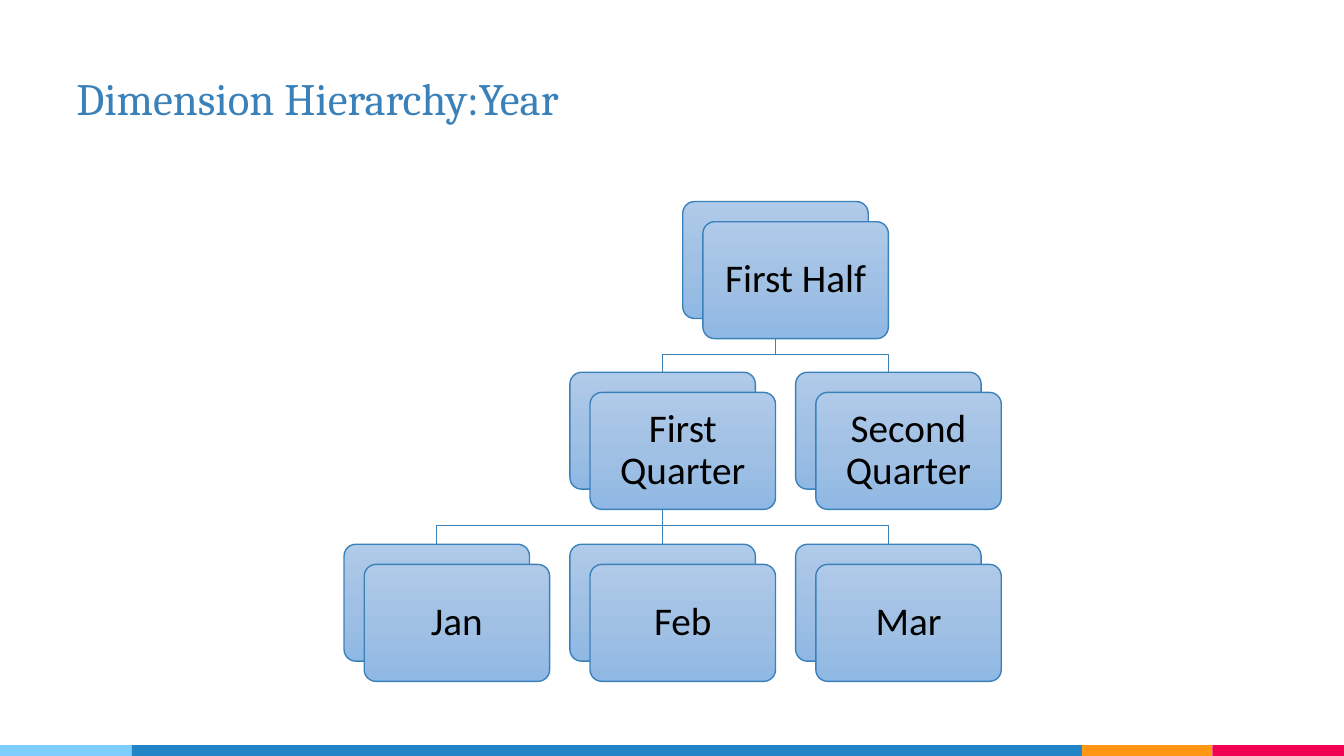
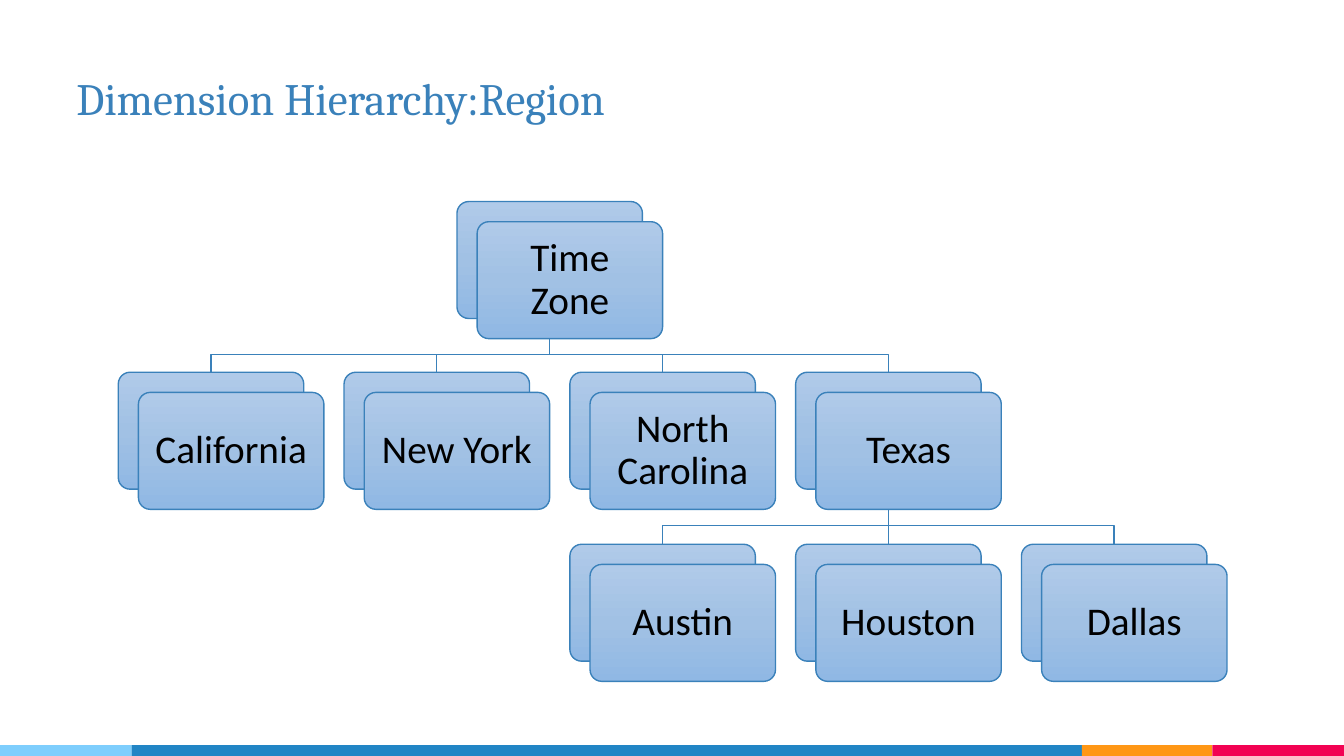
from copy import deepcopy
from dataclasses import dataclass
from itertools import pairwise

from lxml import etree
from pptx import Presentation
from pptx.dml.color import RGBColor
from pptx.enum.shapes import MSO_CONNECTOR, MSO_SHAPE
from pptx.enum.text import MSO_ANCHOR, PP_ALIGN
from pptx.oxml.ns import qn
from pptx.util import Inches, Pt

RECT = MSO_SHAPE.RECTANGLE
ROUND_RECT = MSO_SHAPE.ROUNDED_RECTANGLE
STRAIGHT = MSO_CONNECTOR.STRAIGHT
LEFT, CENTER = PP_ALIGN.LEFT, PP_ALIGN.CENTER
MIDDLE, BOTTOM = MSO_ANCHOR.MIDDLE, MSO_ANCHOR.BOTTOM
TOP_SITE, BOTTOM_SITE = 0, 2


@dataclass(frozen=True)
class Theme:
    accent: str = "3A81BA"
    ink: str = "000000"
    card: tuple = ((0, "B0CAE9"), (0.5, "A1C1E4"), (1, "90B8E4"))
    band: tuple = ("7ECEFD", "2185C5", "FF9715", "F20253")
    title_font: str = "Cambria"
    card_font: str = "Calibri"
    title_size: int = 24
    card_size: int = 21
    line: float = 0.75


THEME = Theme()
SLIDE_W = 10
SLIDE_H = SLIDE_W * 9 / 16
BAND_EDGES = (0, 0.98, 8.05, 9.02, SLIDE_W)
BAND_H = 0.08
COL_LEFT, COL_PITCH = 0.88, 1.68
ROW_TOPS = (1.5, 2.77, 4.05)
CARD_W, CARD_H = 1.38, 0.87
FRONT_OFFSET = 0.15
ELBOW_DROP = 0.27

YEAR = {
    "First Half": (2.5, 0, None),
    "First Quarter": (2, 1, "First Half"),
    "Second Quarter": (3, 1, "First Half"),
    "Jan": (1, 2, "First Quarter"),
    "Feb": (2, 2, "First Quarter"),
    "Mar": (3, 2, "First Quarter"),
}
REGION = {
    "Time Zone": (1.5, 0, None),
    "California": (0, 1, "Time Zone"),
    "New York": (1, 1, "Time Zone"),
    "North Carolina": (2, 1, "Time Zone"),
    "Texas": (3, 1, "Time Zone"),
    "Austin": (2, 2, "Texas"),
    "Houston": (3, 2, "Texas"),
    "Dallas": (4, 2, "Texas"),
}


def rgb(color):
    return RGBColor.from_string(color)


def write(s, text, *, font, size, color, align, anchor, inset, spacing=1.0):
    tf = s.text_frame
    tf.word_wrap = True
    tf.vertical_anchor = anchor
    tf.margin_left = tf.margin_right = Inches(inset)
    tf.margin_top = tf.margin_bottom = Inches(inset)
    p = tf.paragraphs[0]
    p.alignment = align
    p.line_spacing = spacing
    r = p.add_run()
    r.text = text
    r.font.name = font
    r.font.size = Pt(size)
    r.font.color.rgb = rgb(color)


def stroke(s):
    s.line.color.rgb = rgb(THEME.accent)
    s.line.width = Pt(THEME.line)


def add_band(slide):
    for (left, right), color in zip(pairwise(BAND_EDGES), THEME.band):
        s = slide.shapes.add_shape(RECT, Inches(left), Inches(SLIDE_H - BAND_H),
                                   Inches(right - left), Inches(BAND_H))
        s.shadow.inherit = False
        s.fill.solid()
        s.fill.fore_color.rgb = rgb(color)
        s.line.fill.background()


def add_title(slide, text):
    s = slide.shapes.add_textbox(Inches(0.47), Inches(0.06), Inches(7.27), Inches(0.97))
    write(s, text, font=THEME.title_font, size=THEME.title_size, color=THEME.accent,
          align=LEFT, anchor=BOTTOM, inset=0.1)


def add_card(slide, left, top):
    s = slide.shapes.add_shape(ROUND_RECT, Inches(left), Inches(top),
                               Inches(CARD_W), Inches(CARD_H))
    s.adjustments[0] = 0.1
    s.shadow.inherit = False
    s.fill.gradient()
    s.fill.gradient_angle = 270
    stops = s._element.spPr.find(".//" + qn("a:gsLst"))
    stops.insert(1, deepcopy(stops[0]))
    for stop, (position, color) in zip(s.fill.gradient_stops, THEME.card):
        stop.position = position
        stop.color.rgb = rgb(color)
    stroke(s)
    return s


def add_branch(slide, parent, child):
    x1, y1 = parent.left + parent.width // 2, parent.top + parent.height
    x2, y2 = child.left + child.width // 2, child.top
    if x1 == x2:
        s = slide.shapes.add_connector(STRAIGHT, x1, y1, x2, y2)
        s.begin_connect(parent, BOTTOM_SITE)
        s.end_connect(child, TOP_SITE)
        etree.SubElement(s._element.spPr, qn("a:effectLst"))
    else:
        bend = y1 + Inches(ELBOW_DROP)
        path = slide.shapes.build_freeform(x1, y1)
        path.add_line_segments([(x1, bend), (x2, bend), (x2, y2)], close=False)
        s = path.convert_to_shape()
        s.shadow.inherit = False
        s.fill.background()
    stroke(s)


def add_tree(slide, tree):
    corners = {name: (COL_LEFT + COL_PITCH * col, ROW_TOPS[row])
               for name, (col, row, _) in tree.items()}
    backs = {name: add_card(slide, *corner) for name, corner in corners.items()}
    for name, (_, _, parent) in tree.items():
        if parent:
            add_branch(slide, backs[parent], backs[name])
    for name, (left, top) in corners.items():
        s = add_card(slide, left + FRONT_OFFSET, top + FRONT_OFFSET)
        write(s, name, font=THEME.card_font, size=THEME.card_size, color=THEME.ink,
              align=CENTER, anchor=MIDDLE, inset=0.09, spacing=0.9)


def add_hierarchy_slide(prs, title, tree):
    slide = prs.slides.add_slide(prs.slide_layouts[6])
    add_band(slide)
    add_title(slide, title)
    add_tree(slide, tree)


def main():
    prs = Presentation()
    prs.slide_width, prs.slide_height = Inches(SLIDE_W), Inches(SLIDE_H)
    add_hierarchy_slide(prs, "Dimension Hierarchy:Year", YEAR)
    add_hierarchy_slide(prs, "Dimension Hierarchy:Region", REGION)
    prs.save("out.pptx")


if __name__ == "__main__":
    main()
